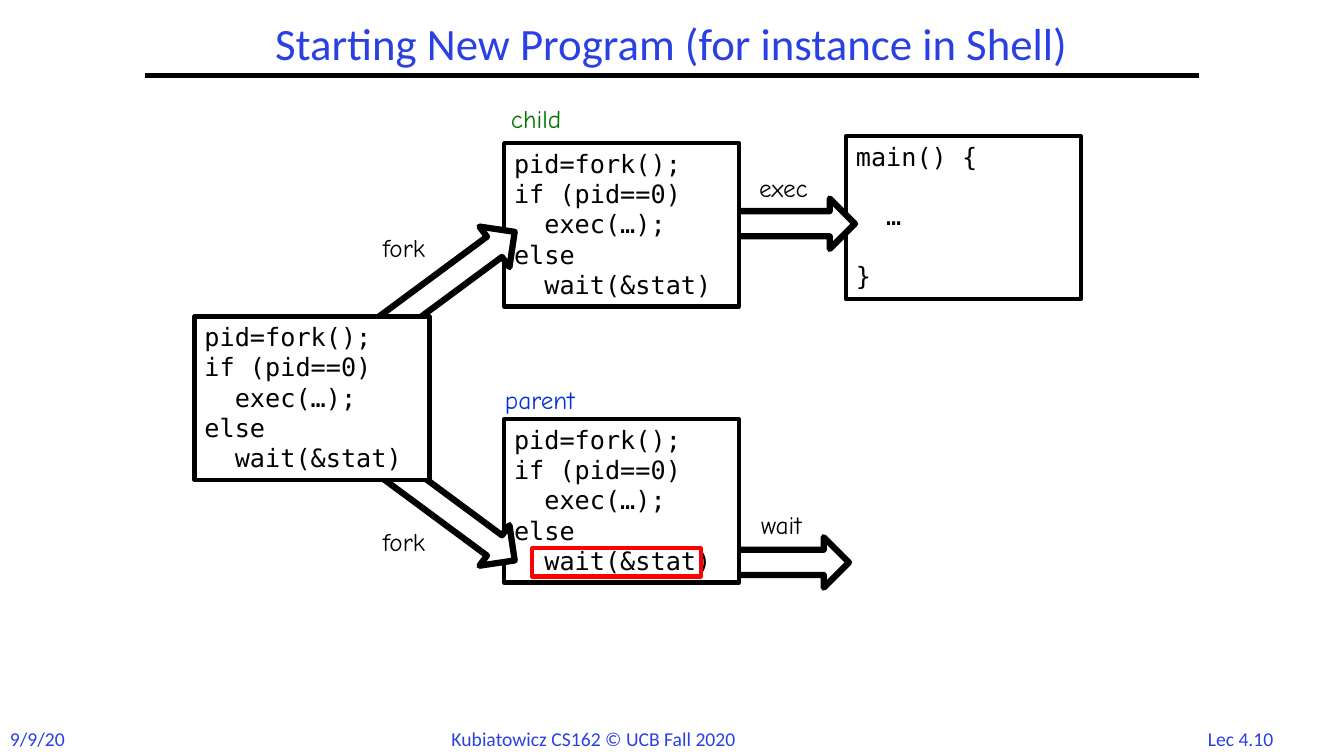
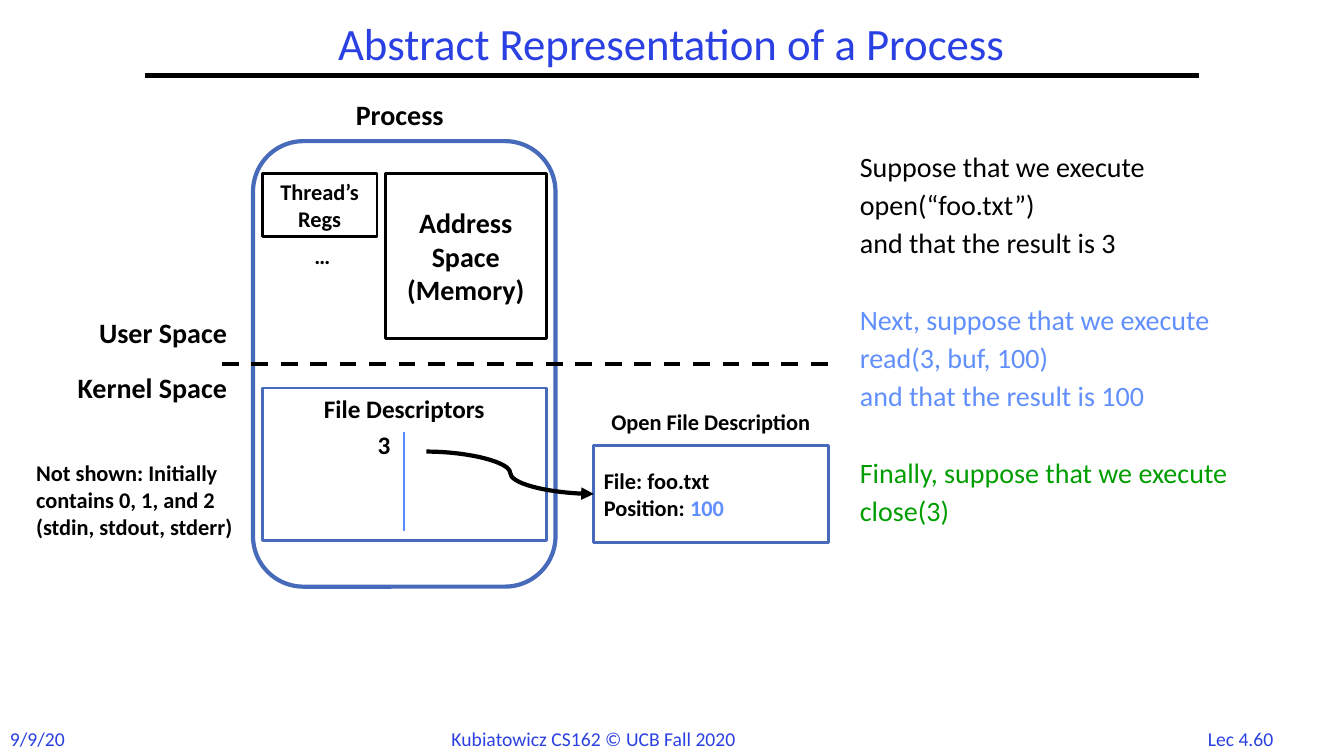
from lxml.etree import SubElement
from pptx import Presentation
from pptx.dml.color import RGBColor
from pptx.enum.dml import MSO_LINE
from pptx.enum.shapes import MSO_CONNECTOR as LINK, MSO_SHAPE as KIND
from pptx.enum.text import MSO_ANCHOR as ANCHOR, PP_ALIGN as ALIGN
from pptx.oxml.ns import qn
from pptx.util import Inches, Pt

BLACK = RGBColor(0x00, 0x00, 0x00)
WHITE = RGBColor(0xFF, 0xFF, 0xFF)
RED = RGBColor(0xFF, 0x00, 0x00)
ROYAL = RGBColor(0x2A, 0x40, 0xE2)
COBALT = RGBColor(0x03, 0x30, 0xD8)
STEEL = RGBColor(0x48, 0x6A, 0xBB)
SKY = RGBColor(0x61, 0x8F, 0xFD)
AZURE = RGBColor(0x5B, 0x8A, 0xFB)
FOREST = RGBColor(0x00, 0x76, 0x00)
GREEN = RGBColor(0x00, 0x9D, 0x00)
SANS, COMIC, MONO = "Calibri", "Comic Neue", "DejaVu Sans Mono"


def put(slide, text, at, kind=None, fill=None, edge=None, width=3, font=SANS,
        size=18, color=BLACK, bold=False, align=ALIGN.LEFT, anchor=ANCHOR.TOP,
        space=None, gap=0):
    spot = [Inches(n) for n in at]
    if kind is None:
        shape = slide.shapes.add_textbox(*spot)
    else:
        shape = slide.shapes.add_shape(kind, *spot)
        shape.shadow.inherit = False
        shape.line.color.rgb = edge
        shape.line.width = Pt(width)
        if fill is None:
            shape.fill.background()
        else:
            shape.fill.solid()
            shape.fill.fore_color.rgb = fill
    frame = shape.text_frame
    frame.word_wrap = True
    frame.vertical_anchor = anchor
    rows = [text] if isinstance(text, str) else text
    for i, row in enumerate(rows):
        para = frame.paragraphs[0] if i == 0 else frame.add_paragraph()
        para.alignment = align
        if space:
            para.line_spacing = space
        if i and gap:
            para.space_before = Pt(gap)
        runs = [(row, color)] if isinstance(row, str) else row
        for words, tint in runs:
            run = para.add_run()
            run.text = words
            run.font.name = font
            run.font.size = Pt(size)
            run.font.bold = bold
            run.font.color.rgb = tint
    return shape


def link(slide, kind, start, end, color=BLACK, width=3):
    line = slide.shapes.add_connector(kind, *[Inches(n) for n in (*start, *end)])
    line.line.color.rgb = color
    line.line.width = Pt(width)
    SubElement(line.element.spPr, qn("a:effectLst"))
    return line


deck = Presentation()
deck.slide_width, deck.slide_height = Inches(13.33), Inches(7.5)

slides = []
for title, page in (("Starting New Program (for instance in Shell)", "Lec 4.10"),
                    ("Abstract Representation of a Process", "Lec 4.60")):
    slide = deck.slides.add_slide(deck.slide_layouts[6])
    put(slide, title, (1.44, 0.17, 10.44, 0.58), size=32, color=ROYAL,
        align=ALIGN.CENTER, anchor=ANCHOR.MIDDLE, space=0.9)
    link(slide, LINK.STRAIGHT, (1.44, 0.75), (11.89, 0.75))
    for text, left, width, align in (
            ("9/9/20", 0, 0.85, ALIGN.LEFT),
            ("Kubiatowicz CS162 © UCB Fall 2020", 4.38, 3.43, ALIGN.LEFT),
            (page, 11.82, 0.97, ALIGN.CENTER)):
        put(slide, text, (left, 7.16, width, 0.34), size=14, color=ROYAL, align=align)
    slides.append(slide)
shell, proc = slides

CODE = ["pid=fork();", "if (pid==0)", "  exec(…);", "else", "  wait(&stat)"]
BOX = 2.33, 1.62
put(shell, ["main() {", "  …", "}"], (8.39, 1.35, *BOX), kind=KIND.RECTANGLE,
    edge=BLACK, font=MONO, gap=21)

ARROWS = [(7.31, 1.97, 1.17, 0), (7.25, 5.33, 1.17, 0),
          (3.68, 2.52, 1.58, 323.5), (3.68, 4.84, 1.58, 36.5)]
BLOCKS = [(5, 4.16), (5, 1.42), (1.93, 3.14)]
for step, items in enumerate((ARROWS[:2], BLOCKS[:2], ARROWS[2:], BLOCKS[2:])):
    for item in items:
        if step % 2:
            put(shell, CODE, (*item, *BOX), kind=KIND.RECTANGLE, fill=WHITE,
                edge=BLACK, font=MONO)
        else:
            left, top, width, turn = item
            arrow = put(shell, [], (left, top, width, 0.5), kind=KIND.RIGHT_ARROW,
                        fill=WHITE, edge=BLACK, width=4.5)
            arrow.rotation = turn
put(shell, [], (5.28, 5.44, 1.67, 0.28), kind=KIND.RECTANGLE, edge=RED)

for text, left, top, color in (
        ("exec", 7.43, 1.66, BLACK), ("wait", 7.45, 5, BLACK),
        ("fork", 3.7, 2.26, BLACK), ("fork", 3.7, 5.17, BLACK),
        ("child", 4.97, 0.98, FOREST), ("parent", 4.91, 3.76, COBALT)):
    put(shell, text, (left, top, 1, 0.4), font=COMIC, color=color)

story = [
    (BLACK, ["Suppose that we execute", "open(“foo.txt”)", "and that the result is 3"]),
    (SKY, ["Next, suppose that we execute", "read(3, buf, 100)",
           "and that the result is 100"]),
    (GREEN, ["Finally, suppose that we execute", "close(3)"]),
]
rows = [[(row, color)] for color, part in story for row in part]
body = put(proc, rows, (8.43, 1.47, 4.15, 4.76), size=20, space=0.9, gap=5.6)
for i in (3, 6):
    body.text_frame.paragraphs[i].space_before = Pt(33.2)

put(proc, [], (2.51, 1.4, 3, 4.42), kind=KIND.ROUNDED_RECTANGLE, edge=STEEL)
split = link(proc, LINK.STRAIGHT, (2.2, 3.61), (8.22, 3.61))
split.line.dash_style = MSO_LINE.DASH

for text, at, size, edge, anchor in (
        ("Address Space (Memory)", (3.82, 1.72, 1.6, 1.64), 20, BLACK, ANCHOR.MIDDLE),
        ("Thread’s Regs", (2.6, 1.72, 1.14, 0.63), 16, BLACK, ANCHOR.MIDDLE),
        ("File Descriptors", (2.6, 3.85, 2.82, 1.51), 18, STEEL, ANCHOR.TOP)):
    put(proc, text, at, kind=KIND.RECTANGLE, fill=WHITE, edge=edge, width=2,
        size=size, bold=True, align=ALIGN.CENTER, anchor=anchor)
link(proc, LINK.STRAIGHT, (4.01, 4.29), (4.01, 5.27), color=AZURE, width=1.5)
file = put(proc, ["File: foo.txt", [("Position: ", BLACK), ("100", SKY)]],
           (5.89, 4.42, 2.33, 0.96), kind=KIND.RECTANGLE, fill=WHITE, edge=STEEL,
           width=2, size=16, bold=True, anchor=ANCHOR.MIDDLE)

for text, at, size, align in (
        ("Process", (3.32, 0.92, 1.29, 0.44), 20, ALIGN.CENTER),
        ("User Space", (0.37, 3.08, 1.98, 0.44), 20, ALIGN.RIGHT),
        ("Kernel Space", (0.37, 3.63, 1.98, 0.44), 20, ALIGN.RIGHT),
        ("…", (3.02, 2.35, 0.43, 0.37), 16, ALIGN.LEFT),
        ("3", (3.57, 4.21, 0.4, 0.4), 18, ALIGN.RIGHT),
        ("Open File Description", (5.79, 4, 2.52, 0.37), 16, ALIGN.CENTER),
        ("Not shown: Initially contains 0, 1, and 2 (stdin, stdout, stderr)",
         (0.26, 4.51, 2.21, 1.18), 16, ALIGN.LEFT)):
    put(proc, text, at, size=size, bold=True, align=align)

curve = link(proc, LINK.CURVE, (4.23, 4.48), (5.89, 4.9))
curve.end_connect(file, 1)
SubElement(curve.element.spPr.find(qn("a:ln")), qn("a:tailEnd"), type="triangle")

deck.save("out.pptx")
